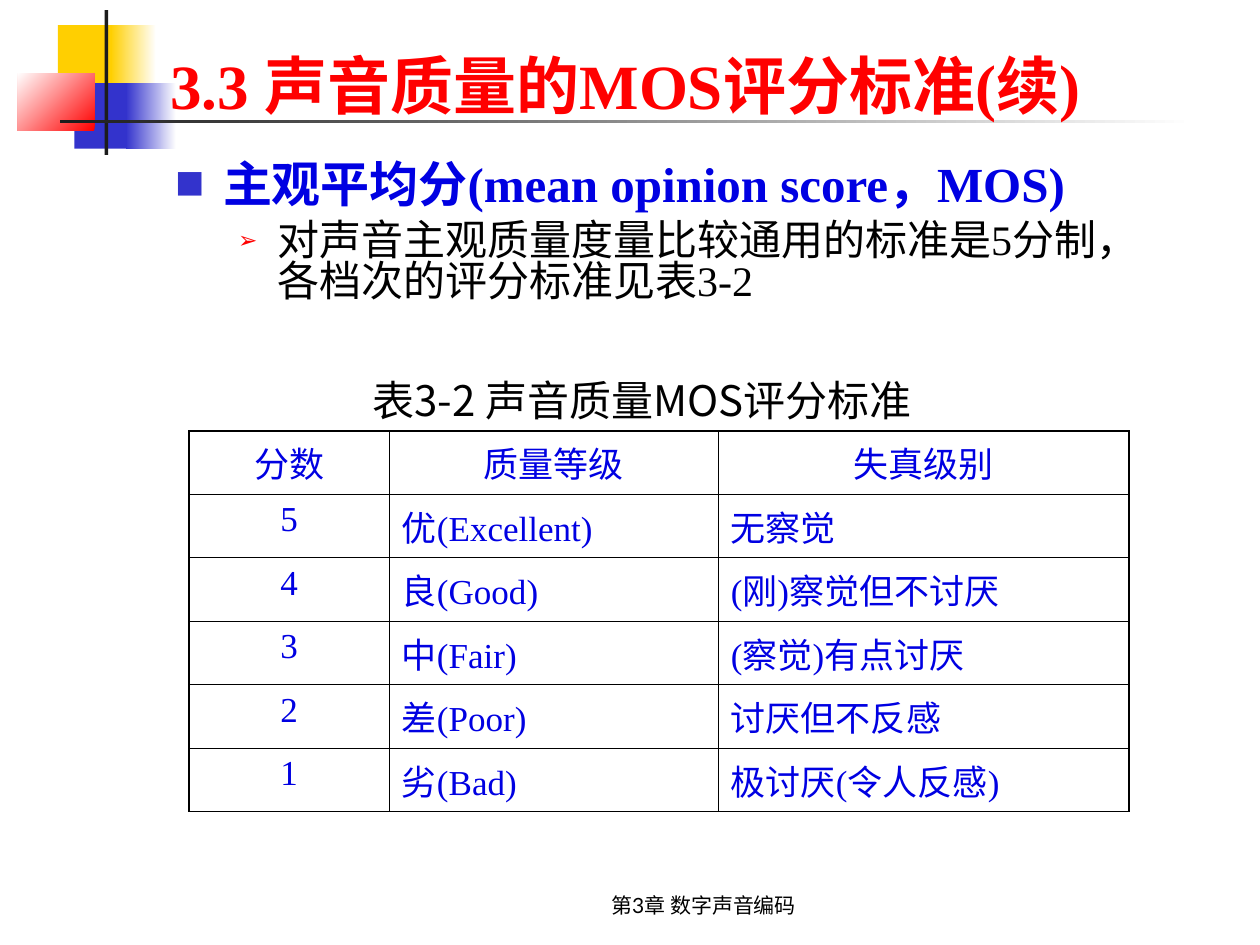
import dataclasses
import pptx
import pptx.dml.color
import pptx.enum.shapes
import pptx.enum.text
import pptx.oxml
import pptx.oxml.ns
import pptx.util

Pt = pptx.util.Pt
ALIGN = pptx.enum.text.PP_ALIGN
ANCHOR = pptx.enum.text.MSO_ANCHOR
FIT = pptx.enum.text.MSO_AUTO_SIZE
NS = pptx.oxml.ns.nsdecls("a")


@dataclasses.dataclass(frozen=True)
class Theme:
    red: str = "FF0000"
    gold: str = "FFCF01"
    blue: str = "3333CC"
    ink: str = "0000E2"
    dark: str = "1C1C1C"
    black: str = "000000"
    white: str = "FFFFFF"
    serif: str = "Times New Roman"
    sans: str = "Noto Sans CJK SC"
    small: str = "Lato"
    title: int = 36
    lead: int = 28
    text: int = 24
    cell: int = 20
    foot: int = 12
    thin: float = 0.45
    thick: float = 1.08


T = Theme()


# Grid: 100 columns by 75 rows on the slide
def unit(n):
    return pptx.util.Inches(n / 10)


def rgb(code):
    return pptx.dml.color.RGBColor.from_string(code)


def put(shape, box):
    for name, n in zip(("left", "top", "width", "height"), box):
        setattr(shape, name, unit(n))


def frame(shape, **form):
    base = dict(word_wrap=True, auto_size=FIT.NONE, vertical_anchor=ANCHOR.TOP)
    for name, val in (base | form).items():
        setattr(shape.text_frame, name, val)
    return shape.text_frame


def write(para, text, face, size, color, bold=False, **form):
    for name, val in form.items():
        setattr(para, name, val)
    run = para.add_run()
    run.text = text
    for name, val in dict(name=face, size=Pt(size), bold=bold).items():
        setattr(run.font, name, val)
    run.font.color.rgb = rgb(color)
    run.font._element.find(pptx.oxml.ns.qn("a:latin")).addnext(
        pptx.oxml.parse_xml(f'<a:ea {NS} typeface="{T.sans}"/>'))


def bullet(para, char, color, share, left, hang):
    props = para._p.get_or_add_pPr()
    props.set("marL", str(unit(left)))
    props.set("indent", str(-unit(hang)))
    for part in (f'<a:buClr {NS}><a:srgbClr val="{color}"/></a:buClr>',
                 f'<a:buSzPct {NS} val="{share * 1000}"/>',
                 f'<a:buFont {NS} typeface="{T.sans}"/>',
                 f'<a:buChar {NS} char="{char}"/>'):
        props.append(pptx.oxml.parse_xml(part))


# Corner blocks and rules; a part with two colours fades between them
def decor(slide, box):
    left, top = box
    parts = (
        ((3.2, 1.2, 4.8, 5.2), (T.gold,), 0),
        ((7.4, 1.2, 3.6, 5.2), (T.white, T.gold), 180),
        ((4.5, 5.8, 4.6, 5.2), (T.blue,), 0),
        ((8.6, 5.8, 4, 5.2), (T.white, T.blue), 180),
        ((0, 5, 6.1, 4.6), (T.red, T.white), 135),
        ((6.9, 0, 0.3, 11.5), (T.dark,), 0),
        ((3.4, 8.7, 90, 0.3), (T.white, T.dark), 180),
    )
    for (x, y, w, h), tones, angle in parts:
        shape = slide.shapes.add_shape(
            pptx.enum.shapes.MSO_SHAPE.RECTANGLE,
            *map(unit, (left + x, top + y, w, h)))
        shape.shadow.inherit = False
        shape.line.fill.background()
        if len(tones) == 1:
            shape.fill.solid()
            shape.fill.fore_color.rgb = rgb(tones[0])
            continue
        shape.fill.gradient()
        shape.fill.gradient_angle = angle
        for stop, tone in zip(shape.fill.gradient_stops, tones):
            stop.color.rgb = rgb(tone)


def title(slide, box):
    shape = slide.shapes.title
    slide.shapes._spTree.append(shape._element)  # above the corner blocks
    put(shape, box)
    area = frame(shape, vertical_anchor=ANCHOR.BOTTOM)
    write(area.paragraphs[0], "3.3 声音质量的MOS评分标准(续)", T.serif, T.title,
          T.red, True, alignment=ALIGN.LEFT)


def body(slide, box):
    shape = slide.placeholders[1]
    slide.shapes._spTree.append(shape._element)
    put(shape, box)
    area = frame(shape)
    lead, sub = area.paragraphs[0], area.add_paragraph()
    sub.level = 1
    for para, gap in ((lead, 0), (sub, 6)):
        para.line_spacing = 0.82
        para.space_before = Pt(gap)
    bullet(lead, "■", T.blue, 60, 3.8, 3.8)
    bullet(sub, "➢", T.red, 55, 8.1, 3.1)
    write(lead, "主观平均分(mean opinion score，MOS)", T.serif, T.lead, T.ink, True)
    write(sub, "对声音主观质量度量比较通用的标准是5分制，各档次的评分标准见表3-2",
          T.serif, T.text, T.black)


def label(slide, box, text, face, size, **form):
    shape = slide.shapes.add_textbox(*map(unit, box))
    area = frame(shape, **form)
    write(area.paragraphs[0], text, face, size, T.black, alignment=ALIGN.CENTER)


def edge(cell, side, width):
    props = cell._tc.get_or_add_tcPr()
    props.append(pptx.oxml.parse_xml(
        f'<a:ln{side} {NS} w="{Pt(width)}"><a:solidFill>'
        f'<a:srgbClr val="{T.black}"/></a:solidFill></a:ln{side}>'))


# Score table: heavy outer frame, fine inner lines
def table(slide, box):
    rows = (
        ("分数", "质量等级", "失真级别"),
        ("5", "优(Excellent)", "无察觉"),
        ("4", "良(Good)", "(刚)察觉但不讨厌"),
        ("3", "中(Fair)", "(察觉)有点讨厌"),
        ("2", "差(Poor)", "讨厌但不反感"),
        ("1", "劣(Bad)", "极讨厌(令人反感)"),
    )
    cols = (15.9, 26.1, 32.6)
    grid = slide.shapes.add_table(
        len(rows), len(cols), *map(unit, box)).table
    grid.first_row = grid.horz_banding = False
    for col, wide in zip(grid.columns, cols):
        col.width = unit(wide)
    for r, row in enumerate(rows):
        for c, text in enumerate(row):
            cell = grid.cell(r, c)
            outer = dict(L=c == 0, R=c == len(cols) - 1,
                         T=r == 0, B=r == len(rows) - 1)
            for side, rim in outer.items():
                edge(cell, side, T.thick if rim else T.thin)
            cell.fill.background()
            mid = r == 0 or c == 0
            write(cell.text_frame.paragraphs[0], text, T.serif, T.cell, T.ink,
                  alignment=ALIGN.CENTER if mid else ALIGN.LEFT)


def main():
    deck = pptx.Presentation()
    deck.slide_width, deck.slide_height = unit(100), unit(75)
    slide = deck.slides.add_slide(deck.slide_layouts[1])
    decor(slide, (1.4, 0.8))
    label(slide, (40, 68.3, 31.7, 5), "第3章 数字声音编码", T.small, T.foot,
          vertical_anchor=ANCHOR.BOTTOM)
    title(slide, (12.5, 1.7, 85.2, 8.5))
    body(slide, (12.9, 12.5, 79.6, 17.5))
    table(slide, (15, 34.2, 74.6, 26))
    label(slide, (22.6, 29.2, 56.7, 5), "表3-2 声音质量MOS评分标准", T.sans, T.text,
          word_wrap=False, auto_size=FIT.SHAPE_TO_FIT_TEXT)
    deck.save("out.pptx")


if __name__ == "__main__":
    main()
